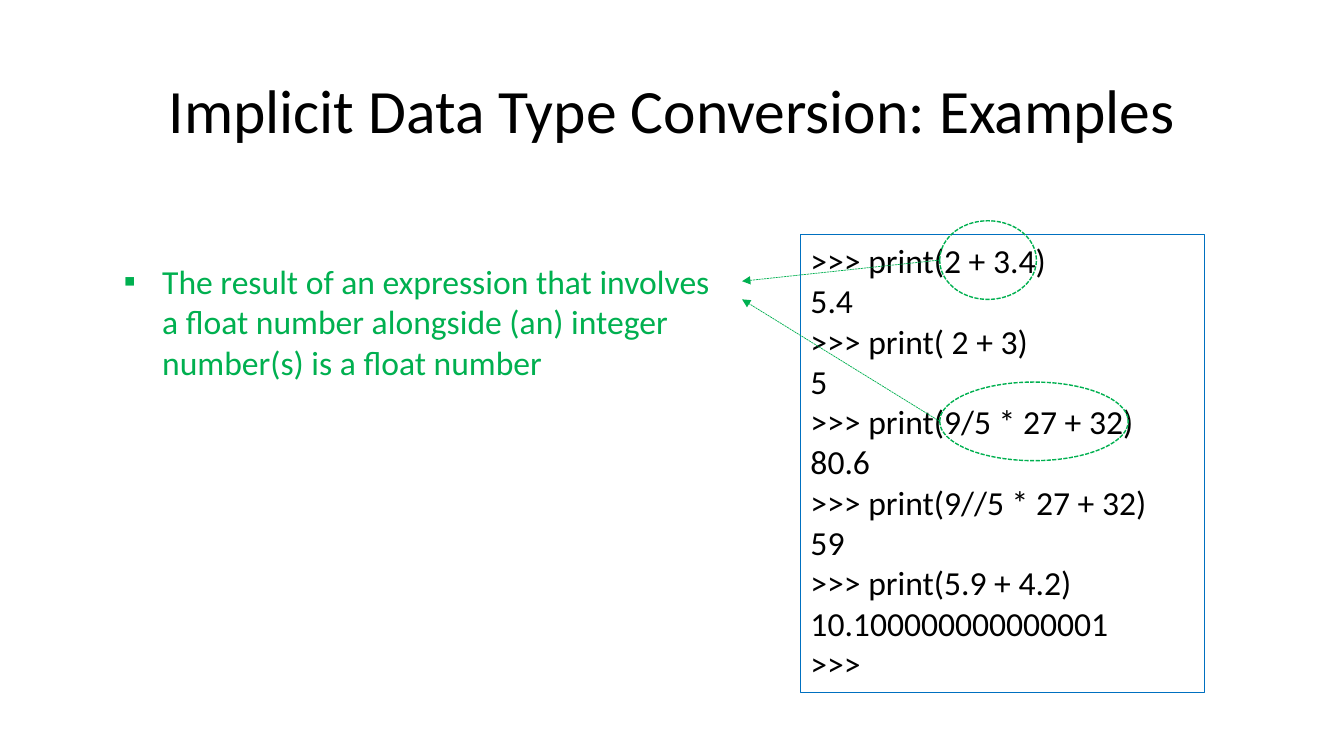
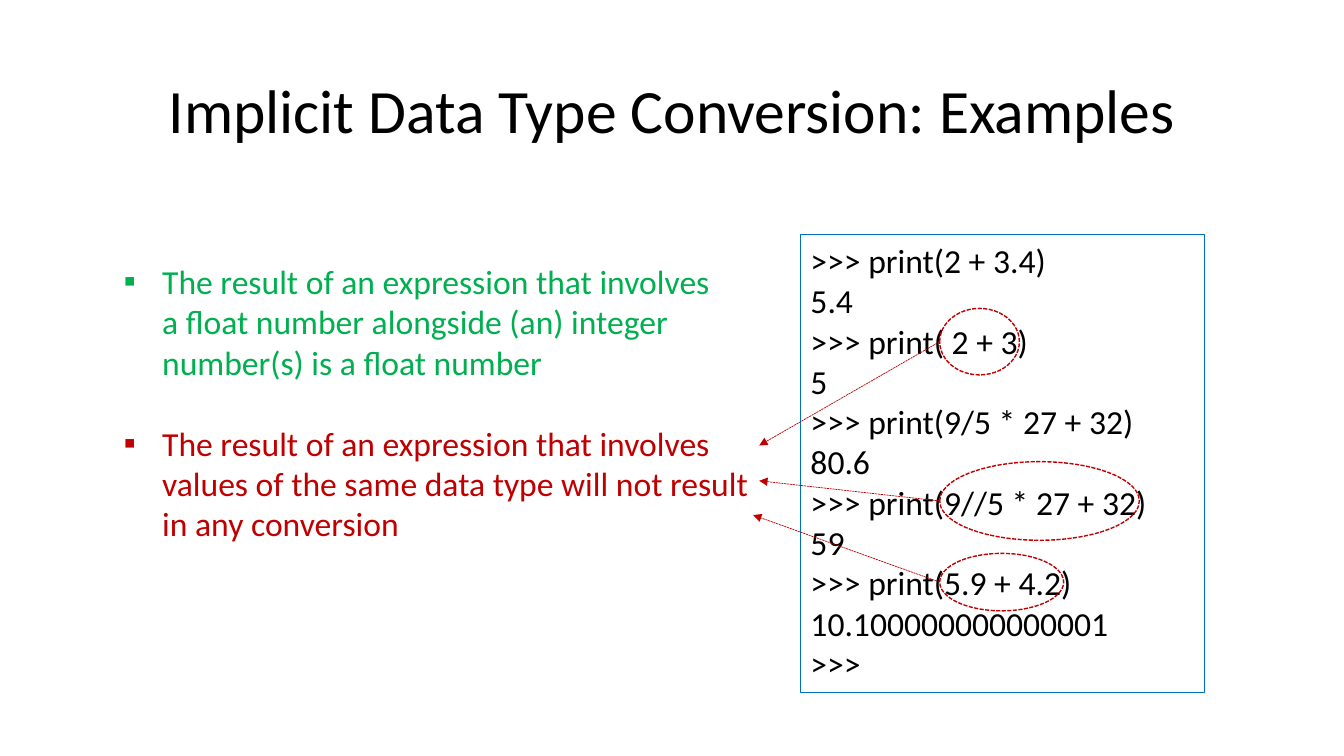
from dataclasses import dataclass

from lxml.etree import SubElement
from pptx import Presentation
from pptx.dml.color import RGBColor
from pptx.enum.dml import MSO_LINE_DASH_STYLE as Dash
from pptx.enum.shapes import MSO_CONNECTOR as Connector
from pptx.enum.shapes import MSO_SHAPE as Shape
from pptx.enum.text import MSO_ANCHOR as Anchor
from pptx.enum.text import PP_ALIGN as Align
from pptx.oxml.ns import qn
from pptx.slide import Slide
from pptx.text.text import _Paragraph as Paragraph
from pptx.util import Inches, Pt


@dataclass(frozen=True)
class Theme:
    font: str = "Calibri"
    black: RGBColor = RGBColor(0x00, 0x00, 0x00)
    blue: RGBColor = RGBColor(0x00, 0x70, 0xC0)
    green: RGBColor = RGBColor(0x00, 0xB0, 0x50)
    red: RGBColor = RGBColor(0xC0, 0x00, 0x00)
    title_size: Pt = Pt(44)
    body_size: Pt = Pt(24)
    rule_gap: Pt = Pt(29)
    frame_line: Pt = Pt(0.75)
    ring_line: Pt = Pt(1)
    arrow_line: Pt = Pt(0.5)


@dataclass(frozen=True)
class Rule:
    lines: tuple[str, ...]
    color: RGBColor


@dataclass(frozen=True)
class Callout:
    top: float
    width: float
    height: float
    target: tuple[float, float]


@dataclass(frozen=True)
class Example:
    rules: tuple[Rule, ...]
    rules_height: float
    callouts: tuple[Callout, ...]


THEME = Theme()
TITLE = "Implicit Data Type Conversion: Examples"
RING_LEFT = 9.32
RULE_INDENT = Inches(0.38)

SESSION = (
    ">>> print(2 + 3.4)",
    "5.4",
    ">>> print( 2 + 3)",
    "5",
    ">>> print(9/5 * 27 + 32)",
    "80.6",
    ">>> print(9//5 * 27 + 32)",
    "59",
    ">>> print(5.9 + 4.2)",
    "10.100000000000001",
    ">>>",
)

MIXED_TYPES = Rule(
    (
        "The result of an expression that involves",
        "a float number alongside (an) integer",
        "number(s) is a float number",
    ),
    THEME.green,
)
SAME_TYPE = Rule(
    (
        "The result of an expression that involves",
        "values of the same data type will not result",
        "in any conversion",
    ),
    THEME.red,
)

EXAMPLES = (
    Example(
        (MIXED_TYPES,),
        1.72,
        (
            Callout(2.19, 0.96, 0.78, (7.36, 2.79)),
            Callout(3.79, 1.87, 0.78, (7.36, 2.97)),
        ),
    ),
    Example(
        (MIXED_TYPES, SAME_TYPE),
        3.33,
        (
            Callout(3.06, 0.79, 0.66, (7.53, 4.42)),
            Callout(4.58, 1.98, 0.78, (7.53, 4.77)),
            Callout(5.49, 1.23, 0.57, (7.47, 5.11)),
        ),
    ),
)


def style_paragraph(paragraph: Paragraph, size: Pt, color: RGBColor) -> None:
    paragraph.font.name = THEME.font
    paragraph.font.size = size
    paragraph.font.color.rgb = color


def add_bullet(paragraph: Paragraph) -> None:
    properties = paragraph._p.get_or_add_pPr()
    properties.set("marL", str(RULE_INDENT))
    properties.set("indent", str(-RULE_INDENT))
    bullet_font = SubElement(properties, qn("a:buFont"), typeface=THEME.font)
    bullet = SubElement(properties, qn("a:buChar"), char="▪")
    run_defaults = properties.find(qn("a:defRPr"))
    if run_defaults is not None:
        run_defaults.addprevious(bullet_font)
        run_defaults.addprevious(bullet)


def add_title(slide: Slide) -> None:
    box = slide.shapes.add_textbox(Inches(0.92), Inches(0.4), Inches(11.5), Inches(1.45))
    frame = box.text_frame
    frame.word_wrap = True
    frame.vertical_anchor = Anchor.MIDDLE
    paragraph = frame.paragraphs[0]
    paragraph.text = TITLE
    paragraph.alignment = Align.CENTER
    paragraph.line_spacing = 0.9
    style_paragraph(paragraph, THEME.title_size, THEME.black)


def add_session(slide: Slide) -> None:
    shape = slide.shapes.add_shape(
        Shape.RECTANGLE, Inches(7.94), Inches(2.33), Inches(4.01), Inches(4.54)
    )
    shape.shadow.inherit = False
    shape.fill.background()
    shape.line.color.rgb = THEME.blue
    shape.line.width = THEME.frame_line
    frame = shape.text_frame
    frame.word_wrap = True
    frame.vertical_anchor = Anchor.TOP
    frame.text = "\n".join(SESSION)
    for paragraph in frame.paragraphs:
        paragraph.alignment = Align.LEFT
        style_paragraph(paragraph, THEME.body_size, THEME.black)


def add_rules(slide: Slide, rules: tuple[Rule, ...], height: float) -> None:
    box = slide.shapes.add_textbox(Inches(1.13), Inches(2.54), Inches(6.45), Inches(height))
    frame = box.text_frame
    frame.word_wrap = True
    for index, rule in enumerate(rules):
        paragraph = frame.add_paragraph() if index else frame.paragraphs[0]
        paragraph.text = "\v".join(rule.lines)
        if index:
            paragraph.space_before = THEME.rule_gap
        style_paragraph(paragraph, THEME.body_size, rule.color)
        add_bullet(paragraph)


def add_callout(slide: Slide, callout: Callout, color: RGBColor) -> None:
    ring = slide.shapes.add_shape(
        Shape.OVAL,
        Inches(RING_LEFT),
        Inches(callout.top),
        Inches(callout.width),
        Inches(callout.height),
    )
    ring.shadow.inherit = False
    ring.fill.background()
    target_x, target_y = callout.target
    arrow = slide.shapes.add_connector(
        Connector.STRAIGHT,
        Inches(RING_LEFT),
        Inches(callout.top + callout.height / 2),
        Inches(target_x),
        Inches(target_y),
    )
    for outlined, width in ((ring, THEME.ring_line), (arrow, THEME.arrow_line)):
        outlined.line.color.rgb = color
        outlined.line.width = width
        outlined.line.dash_style = Dash.SQUARE_DOT
    SubElement(arrow.line._get_or_add_ln(), qn("a:tailEnd"), type="triangle")
    SubElement(arrow._element.spPr, qn("a:effectLst"))


def main() -> None:
    presentation = Presentation()
    presentation.slide_width = Inches(13.33)
    presentation.slide_height = Inches(7.5)
    blank_layout = presentation.slide_layouts[6]
    for example in EXAMPLES:
        slide = presentation.slides.add_slide(blank_layout)
        add_title(slide)
        add_session(slide)
        add_rules(slide, example.rules, example.rules_height)
        for callout in example.callouts:
            add_callout(slide, callout, example.rules[-1].color)
    presentation.save("out.pptx")


if __name__ == "__main__":
    main()
